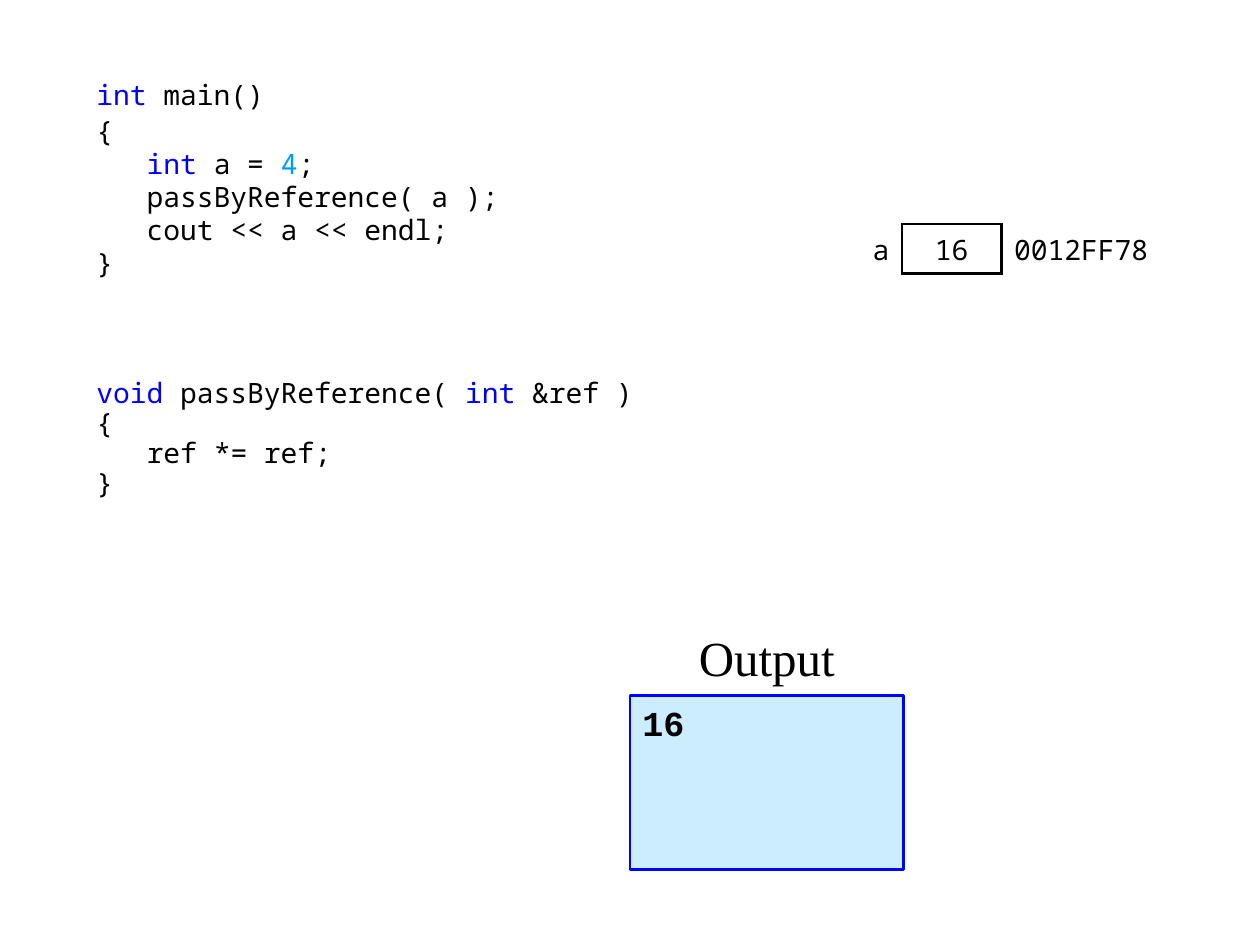
from dataclasses import dataclass

from lxml.etree import SubElement
from pptx import Presentation
from pptx.dml.color import RGBColor
from pptx.enum.shapes import MSO_SHAPE as Shape
from pptx.enum.text import MSO_ANCHOR as Anchor, PP_ALIGN as Align
from pptx.oxml.ns import qn
from pptx.util import Pt


@dataclass(frozen=True)
class Theme:
    """Colours, fonts and type sizes of the slide."""
    ink: str = "000000"
    keyword: str = "0000FF"
    number: str = "0099FF"
    panel: str = "CCECFF"
    code_font: str = "Noto Sans Mono"
    label_font: str = "Times New Roman"
    console_font: str = "Courier New"
    code_size: float = 16
    label_size: float = 28
    console_size: float = 20
    rule: float = 1.5


THEME = Theme()
INDENT = 28.8
MAIN_CODE = [
    (0, 0, [("int", THEME.keyword), (" main()", THEME.ink)]),
    (0, 3.2, [("{", THEME.ink)]),
    (1, 1.6, [("int ", THEME.keyword), ("a = ", THEME.ink),
              ("4", THEME.number), (";", THEME.ink)]),
    (1, 1.6, [("passByReference( a );", THEME.ink)]),
    (1, 1.6, [("cout << a << endl;", THEME.ink)]),
    (0, 1.6, [("}", THEME.ink)]),
]
FUNCTION_CODE = [
    (0, 0, [("void ", THEME.keyword), ("passByReference( ", THEME.ink),
            ("int ", THEME.keyword), ("&ref )", THEME.ink)]),
    (0, 0, [("{", THEME.ink)]),
    (1, 0, [("ref *= ref;", THEME.ink)]),
    (0, 0, [("}", THEME.ink)]),
]


def style(font, name, size, color=THEME.ink, bold=False):
    """Set the face, size, colour and weight of a font."""
    font.name, font.size, font.bold = name, Pt(size), bold
    font.color.rgb = RGBColor.from_string(color)


def add_code(slide, left, top, width, height, lines):
    """Place a listing of indented, coloured code lines."""
    frame = slide.shapes.add_textbox(Pt(left), Pt(top), Pt(width), Pt(height)).text_frame
    frame.word_wrap = True
    for index, (level, space, tokens) in enumerate(lines):
        line = frame.add_paragraph() if index else frame.paragraphs[0]
        line.line_spacing, line.space_before = 0.9, Pt(space)
        line._p.get_or_add_pPr().set("marL", str(Pt(level * INDENT)))
        for token, color in tokens:
            run = line.add_run()
            run.text = token
            style(run.font, THEME.code_font, THEME.code_size, color)


def add_borders(cell, sides):
    """Draw the named sides of a table cell and clear the others."""
    properties = cell._tc.get_or_add_tcPr()
    for position, side in enumerate("LRTB"):
        border = properties.makeelement(qn(f"a:ln{side}"), {"w": str(Pt(THEME.rule))})
        properties.insert(position, border)
        if side in sides:
            fill = SubElement(border, qn("a:solidFill"))
            SubElement(fill, qn("a:srgbClr"), val=THEME.ink)
        else:
            SubElement(border, qn("a:noFill"))


def add_memory(slide, left, top, height):
    """Place the table row with a variable's name, value and address."""
    columns = [
        (113, "", Align.LEFT, "", 7.2, 7.2),
        (28, "a", Align.RIGHT, "R", 7.2, 7.2),
        (57, "16", Align.CENTER, "LRTB", 5.8, 5.8),
        (99.4, "0012FF78", Align.LEFT, "L", 7.2, 5.8),
    ]
    total = sum(column[0] for column in columns)
    memory = slide.shapes.add_table(
        1, len(columns), Pt(left), Pt(top), Pt(total), Pt(height)).table
    memory.first_row = memory.horz_banding = False
    for index, (width, text, align, sides, inset_left, inset_right) in enumerate(columns):
        memory.columns[index].width = Pt(width)
        cell = memory.cell(0, index)
        cell.text = text
        cell.vertical_anchor = Anchor.MIDDLE
        cell.margin_left, cell.margin_right = Pt(inset_left), Pt(inset_right)
        cell.fill.background()
        add_borders(cell, sides)
        entry = cell.text_frame.paragraphs[0]
        entry.alignment = align
        style(entry.font, THEME.code_font, THEME.code_size)


def add_output(slide, left, top, width, height):
    """Place the output label above its console panel."""
    label_height = 42.5
    console = slide.shapes.add_shape(
        Shape.RECTANGLE, Pt(left), Pt(top + label_height),
        Pt(width), Pt(height - label_height))
    console.shadow.inherit = False
    console.fill.solid()
    console.fill.fore_color.rgb = RGBColor.from_string(THEME.panel)
    console.line.color.rgb = RGBColor.from_string(THEME.keyword)
    console.line.width = Pt(THEME.rule)
    console.text_frame.vertical_anchor = Anchor.TOP
    result = console.text_frame.paragraphs[0]
    result.text, result.alignment = "16", Align.LEFT
    style(result.font, THEME.console_font, THEME.console_size, bold=True)

    label = slide.shapes.add_textbox(
        Pt(left + 28.4), Pt(top), Pt(width - 56.8), Pt(label_height))
    label.text_frame.word_wrap = True
    heading = label.text_frame.paragraphs[0]
    heading.text, heading.alignment = "Output", Align.CENTER
    style(heading.font, THEME.label_font, THEME.label_size)


def main():
    """Build the pass-by-reference slide and save it."""
    deck = Presentation()
    deck.slide_width, deck.slide_height = Pt(720), Pt(540)
    slide = deck.slides.add_slide(deck.slide_layouts[6])
    add_code(slide, 48, 43.2, 269.3, 141.8, MAIN_CODE)
    add_code(slide, 48, 213.1, 425.5, 85, FUNCTION_CODE)
    add_memory(slide, 374.4, 128, 28.3)
    add_output(slide, 360, 355, 156.2, 141.8)
    deck.save("out.pptx")


if __name__ == "__main__":
    main()
